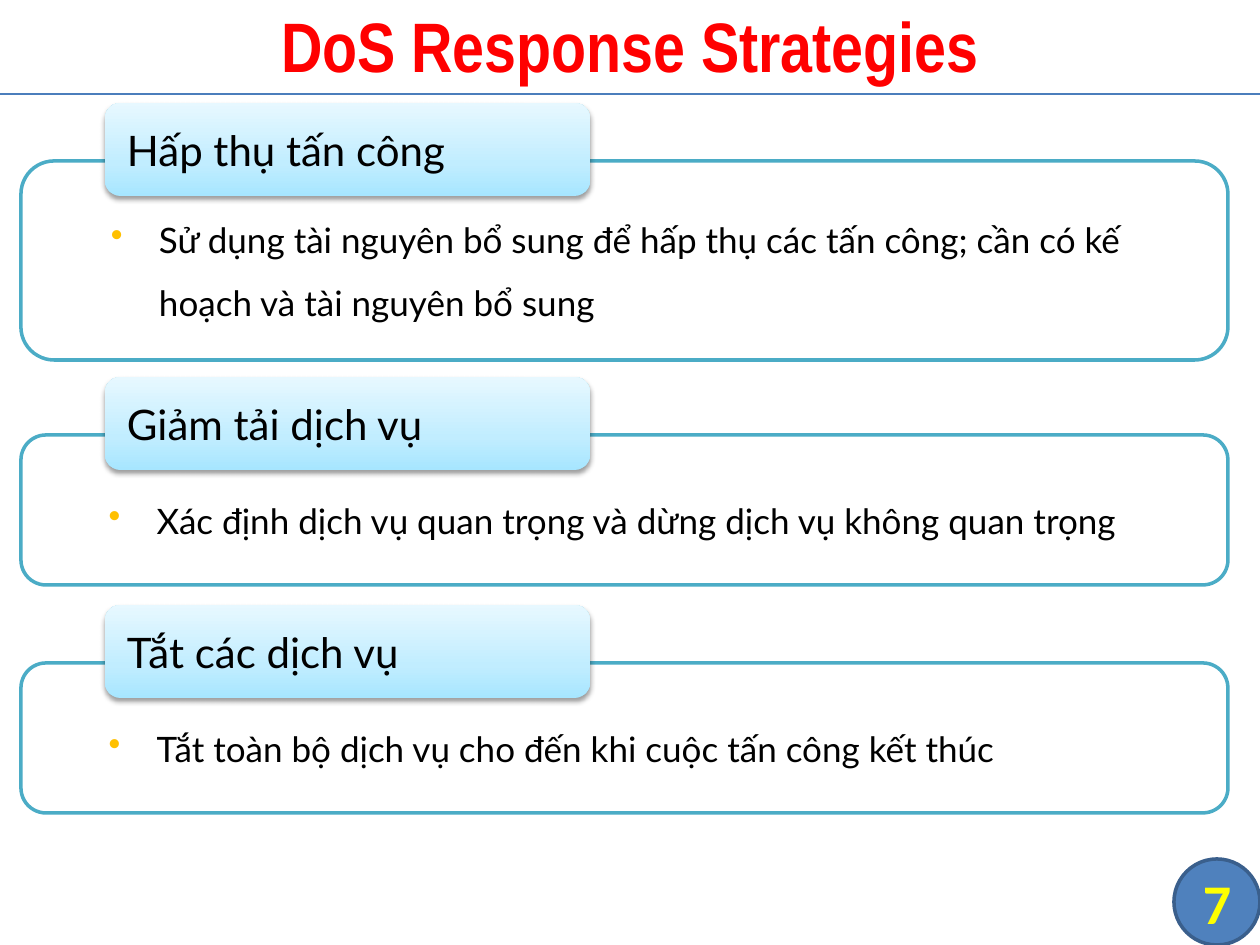
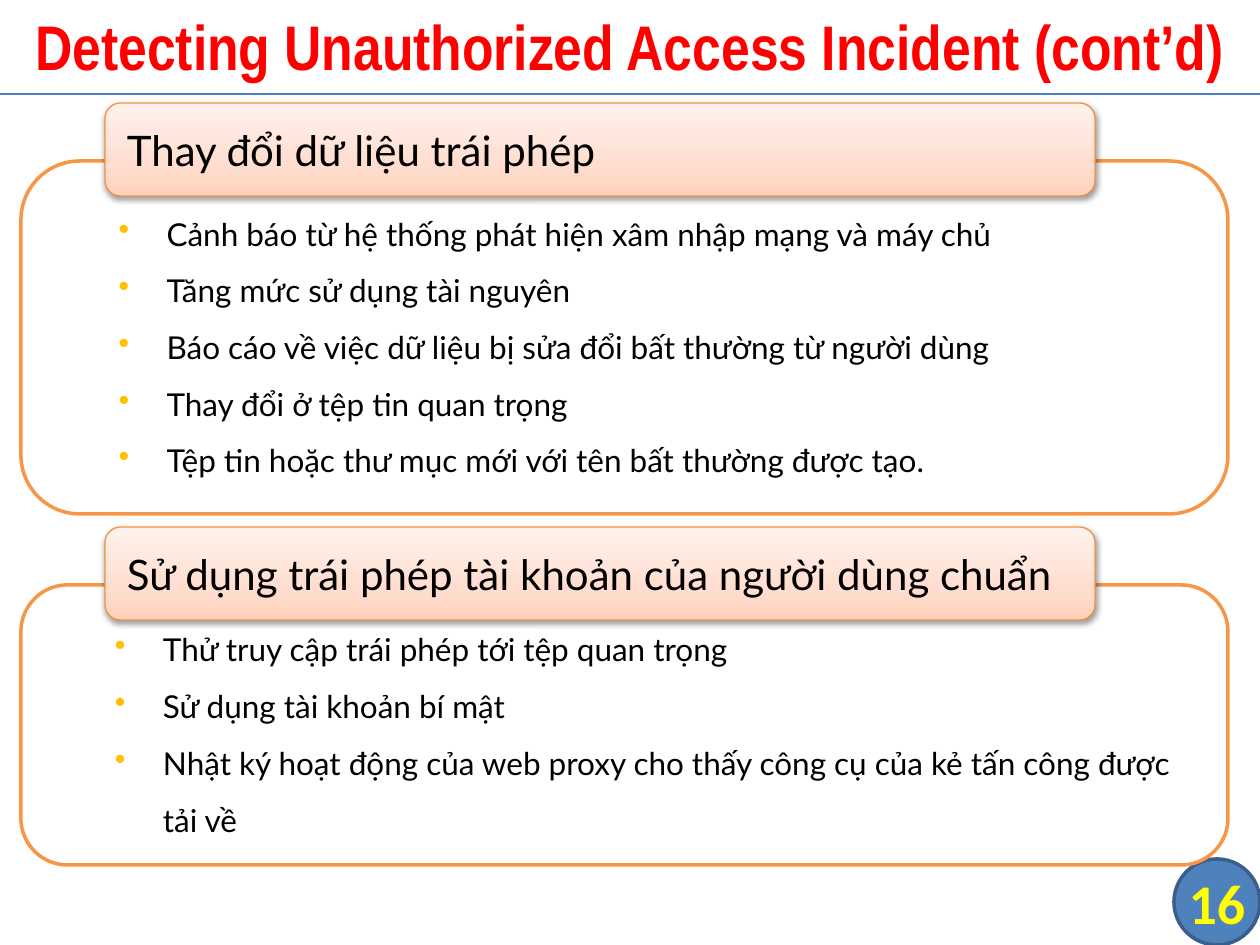
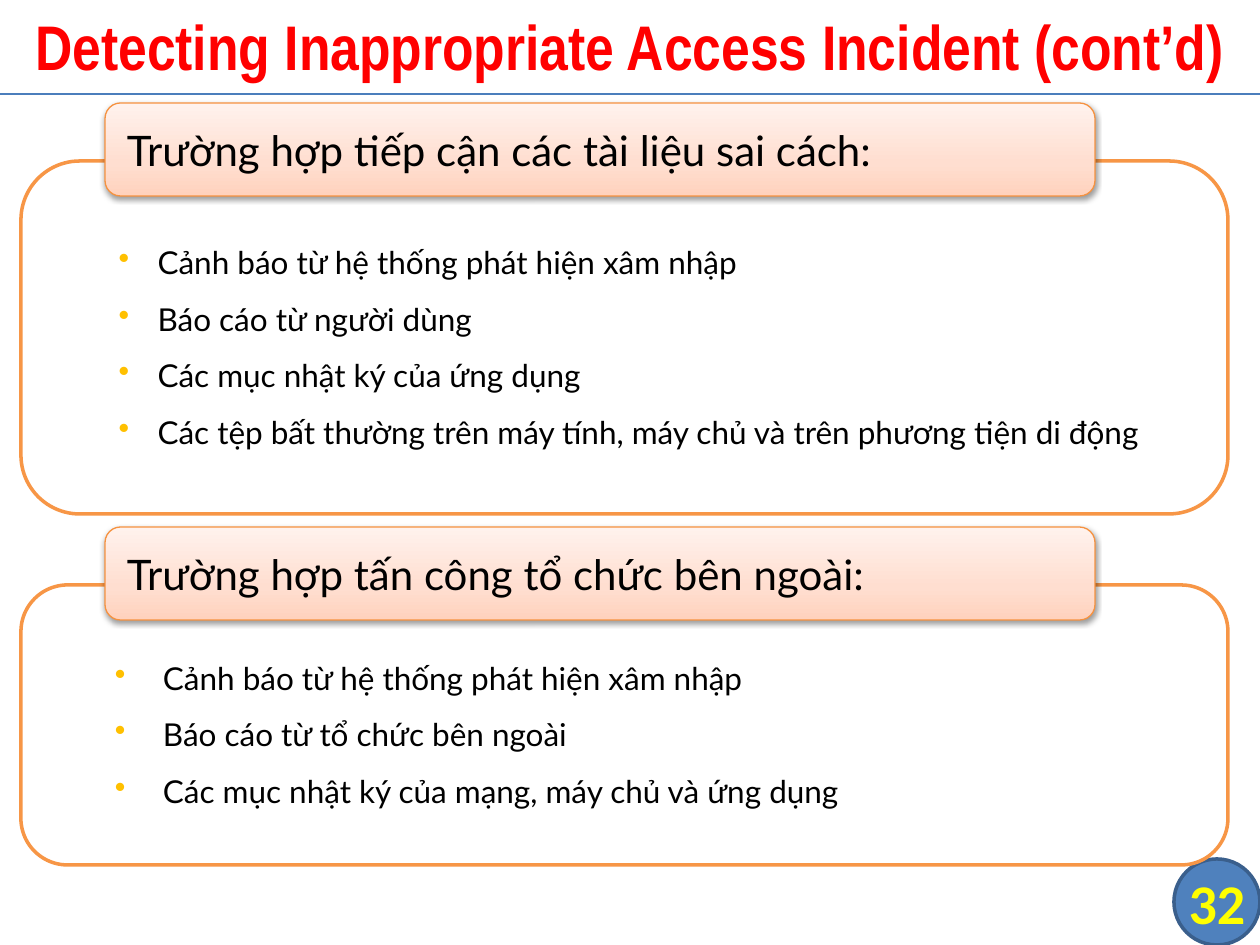
from dataclasses import dataclass

from lxml.etree import SubElement
from pptx import Presentation
from pptx.dml.color import RGBColor
from pptx.enum.shapes import MSO_CONNECTOR, MSO_SHAPE
from pptx.enum.text import MSO_ANCHOR, MSO_AUTO_SIZE, PP_ALIGN
from pptx.oxml.ns import qn
from pptx.util import Pt

EMU_PER_PX = 914400 / 126
SLIDE_W, SLIDE_H = 1260, 945
FRAME_LEFT, FRAME_W = 21, 1207
HEADER_LEFT, HEADER_H, HEADER_RISE = 105, 93, 58
BADGE = (1174, 859, 86, 86)


@dataclass(frozen=True)
class Palette:
    """Colours of one family of cards; header_edge is None for no outline."""
    frame: str
    header_stops: tuple
    header_edge: str | None


@dataclass(frozen=True)
class Theme:
    title_font: str = "Arial Narrow"
    body_font: str = "Lato"
    number_font: str = "Calibri"
    header_size: int = 24
    number_size: int = 32
    title: str = "FF0000"
    text: str = "000000"
    white: str = "FFFFFF"
    bullet: str = "FFC000"
    rule: str = "4B7EBC"
    badge: str = "4F81BD"
    badge_edge: str = "3A5F8C"
    number: str = "FFFF00"
    blue: Palette = Palette(
        "4BACC6", ((0, "A7E6FF"), (35, "C1EDFF"), (100, "E7F8FF")), None)
    orange: Palette = Palette(
        "F79646", ((0, "FFD2BD"), (35, "FFDED0"), (100, "FFF2ED")), "F69240")


THEME = Theme()


@dataclass(frozen=True)
class Card:
    top: int
    height: int
    heading: str
    points: tuple
    indent: int = 116
    hanging: int = 48


@dataclass(frozen=True)
class CardSlide:
    title: str
    number: str
    title_size: int
    point_size: int
    header_width: int
    palette: Palette
    cards: tuple


SLIDES = (
    CardSlide("DoS Response Strategies", "7", 40, 20, 485, THEME.blue, (
        Card(161, 199, "Hấp thụ tấn công", (
            "Sử dụng tài nguyên bổ sung để hấp thụ các tấn công; "
            "cần có kế hoạch và tài nguyên bổ sung",)),
        Card(435, 150, "Giảm tải dịch vụ", (
            "Xác định dịch vụ quan trọng và dừng dịch vụ không quan trọng",)),
        Card(663, 150, "Tắt các dịch vụ", (
            "Tắt toàn bộ dịch vụ cho đến khi cuộc tấn công kết thúc",)),
    )),
    CardSlide("Detecting Unauthorized Access Incident (cont’d)", "16", 36, 18, 990,
              THEME.orange, (
        Card(161, 353, "Thay đổi dữ liệu trái phép", (
            "Cảnh báo từ hệ thống phát hiện xâm nhập mạng và máy chủ",
            "Tăng mức sử dụng tài nguyên",
            "Báo cáo về việc dữ liệu bị sửa đổi bất thường từ người dùng",
            "Thay đổi ở tệp tin quan trọng",
            "Tệp tin hoặc thư mục mới với tên bất thường được tạo.")),
        Card(585, 280, "Sử dụng trái phép tài khoản của người dùng chuẩn", (
            "Thử truy cập trái phép tới tệp quan trọng",
            "Sử dụng tài khoản bí mật",
            "Nhật ký hoạt động của web proxy cho thấy công cụ của kẻ tấn công "
            "được tải về")),
    )),
    CardSlide("Detecting Inappropriate Access Incident (cont’d)", "32", 36, 18, 990,
              THEME.orange, (
        Card(161, 353, "Trường hợp tiếp cận các tài liệu sai cách:", (
            "Cảnh báo từ hệ thống phát hiện xâm nhập",
            "Báo cáo từ người dùng",
            "Các mục nhật ký của ứng dụng",
            "Các tệp bất thường trên máy tính, máy chủ và trên phương tiện di động"),
            indent=107, hanging=39),
        Card(585, 280, "Trường hợp tấn công tổ chức bên ngoài:", (
            "Cảnh báo từ hệ thống phát hiện xâm nhập",
            "Báo cáo từ tổ chức bên ngoài",
            "Các mục nhật ký của mạng, máy chủ và ứng dụng")),
    )),
)


def px(length):
    return round(length * EMU_PER_PX)


def box(*lengths):
    return [px(length) for length in lengths]


def rgb(code):
    return RGBColor.from_string(code)


def set_format(target, values):
    for name, value in values.items():
        setattr(target, name, value)


def write(paragraph, text, font, size, color, align=PP_ALIGN.LEFT, bold=False):
    paragraph.alignment = align
    run = paragraph.add_run()
    run.text = text
    set_format(run.font, {"name": font, "size": Pt(size), "bold": bold})
    run.font.color.rgb = rgb(color)


def set_outline(shape, color, width):
    if color is None:
        shape.line.fill.background()
        return
    shape.line.color.rgb = rgb(color)
    shape.line.width = Pt(width)


def add_plain_shape(slide, kind, area, fill, edge, edge_width):
    shape = slide.shapes.add_shape(kind, *box(*area))
    shape.shadow.inherit = False
    shape.fill.solid()
    shape.fill.fore_color.rgb = rgb(fill)
    set_outline(shape, edge, edge_width)
    set_format(shape.text_frame,
               {"word_wrap": True, "vertical_anchor": MSO_ANCHOR.MIDDLE})
    return shape


def add_color(parent, color):
    return SubElement(parent, qn("a:srgbClr"), val=color)


def set_gradient(shape, stops):
    """Fill from bottom to top with (percent, colour) stops."""
    shape.fill.gradient()
    shape.fill.gradient_angle = 90
    stop_list = shape.element.spPr.find(".//" + qn("a:gsLst"))
    stop_list.clear()
    for percent, color in stops:
        add_color(SubElement(stop_list, qn("a:gs"), pos=str(percent * 1000)), color)


def set_drop_shadow(shape):
    effects = shape.element.spPr.find(qn("a:effectLst"))
    shadow = SubElement(effects, qn("a:outerShdw"), blurRad=str(Pt(3.1)),
                        dist=str(Pt(1.6)), dir="5400000", rotWithShape="0")
    SubElement(add_color(shadow, "000000"), qn("a:alpha"), val="38000")


def set_indent(paragraph, left, hanging=0):
    properties = paragraph._p.get_or_add_pPr()
    properties.set("marL", str(px(left)))
    properties.set("indent", str(-px(hanging)))
    return properties


def add_point(paragraph, text, card, size):
    properties = set_indent(paragraph, card.indent, card.hanging)
    add_color(SubElement(properties, qn("a:buClr")), THEME.bullet)
    SubElement(properties, qn("a:buChar"), char="•")
    set_format(paragraph, {"level": 1, "line_spacing": 1.5})
    write(paragraph, text, THEME.body_font, size, THEME.text)


def add_title(slide, text, size):
    title = slide.shapes.title
    title.left, title.top, title.width, title.height = box(0, -4, SLIDE_W, 98)
    set_format(title.text_frame, {"word_wrap": True, "auto_size": MSO_AUTO_SIZE.NONE,
                                  "vertical_anchor": MSO_ANCHOR.MIDDLE})
    write(title.text_frame.paragraphs[0], text, THEME.title_font, size, THEME.title,
          PP_ALIGN.CENTER, True)


def add_title_rule(slide):
    rule = slide.shapes.add_connector(MSO_CONNECTOR.STRAIGHT, *box(0, 94, SLIDE_W, 94))
    set_outline(rule, THEME.rule, 0.75)
    SubElement(rule.element.spPr, qn("a:effectLst"))


def add_number_badge(slide, number):
    add_plain_shape(slide, MSO_SHAPE.FLOWCHART_CONNECTOR, BADGE,
                    THEME.badge, THEME.badge_edge, 2)
    frame = slide.shapes.add_textbox(*box(*BADGE)).text_frame
    set_format(frame, {"word_wrap": True, "vertical_anchor": MSO_ANCHOR.MIDDLE,
                       "margin_left": 0, "margin_right": 0,
                       "margin_top": 0, "margin_bottom": 0})
    write(frame.paragraphs[0], number, THEME.number_font, THEME.number_size,
          THEME.number, PP_ALIGN.CENTER, True)


def add_card(slide, card, content):
    """Draw a bulleted frame with its heading tab over the top edge."""
    palette = content.palette
    frame = add_plain_shape(slide, MSO_SHAPE.ROUNDED_RECTANGLE,
                            (FRAME_LEFT, card.top, FRAME_W, card.height),
                            THEME.white, palette.frame, 2).text_frame
    for index, point in enumerate(card.points):
        paragraph = frame.add_paragraph() if index else frame.paragraphs[0]
        add_point(paragraph, point, card, content.point_size)

    header = add_plain_shape(
        slide, MSO_SHAPE.ROUNDED_RECTANGLE,
        (HEADER_LEFT, card.top - HEADER_RISE, content.header_width, HEADER_H),
        THEME.white, palette.header_edge, 0.75)
    set_gradient(header, palette.header_stops)
    set_drop_shadow(header)
    heading = header.text_frame.paragraphs[0]
    set_indent(heading, 5)
    write(heading, card.heading, THEME.body_font, THEME.header_size, THEME.text)


def main():
    deck = Presentation()
    deck.slide_width, deck.slide_height = box(SLIDE_W, SLIDE_H)
    title_only = deck.slide_layouts.get_by_name("Title Only")
    for content in SLIDES:
        slide = deck.slides.add_slide(title_only)
        add_title(slide, content.title, content.title_size)
        add_title_rule(slide)
        add_number_badge(slide, content.number)
        for card in content.cards:
            add_card(slide, card, content)
    deck.save("out.pptx")


if __name__ == "__main__":
    main()
